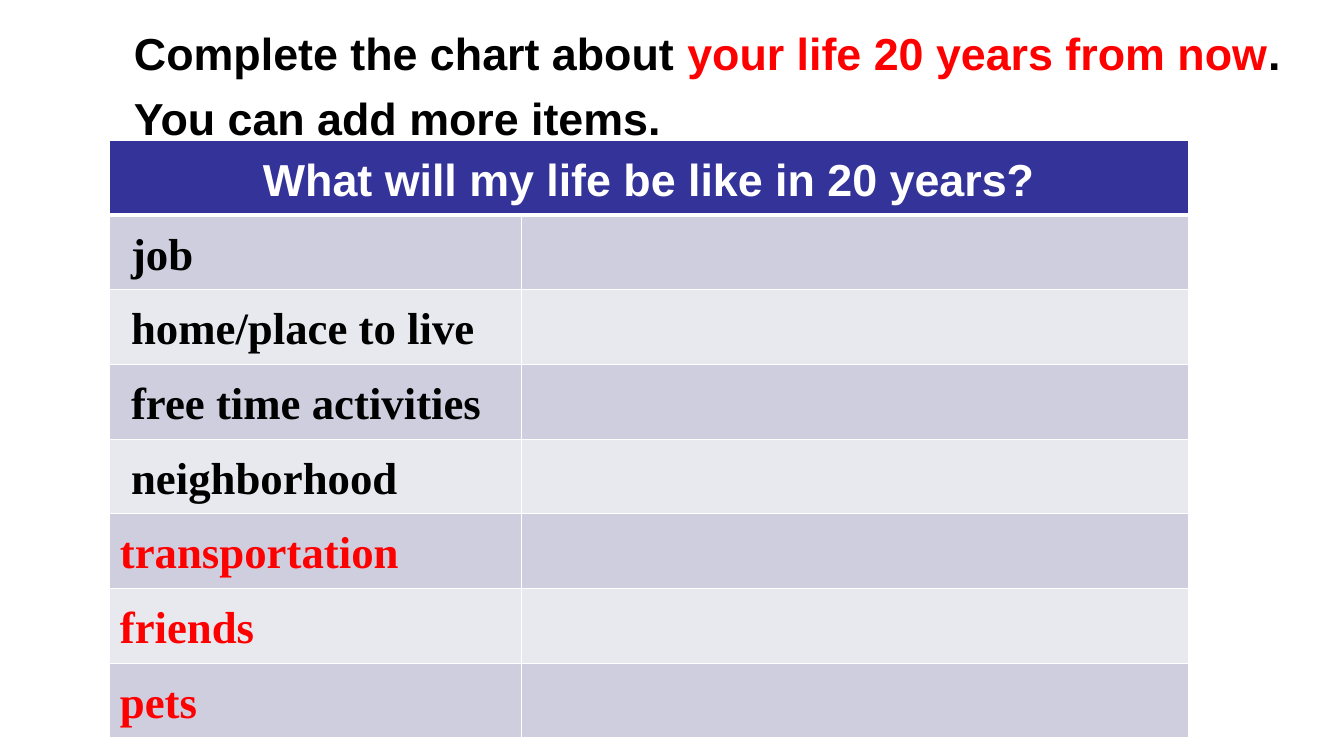
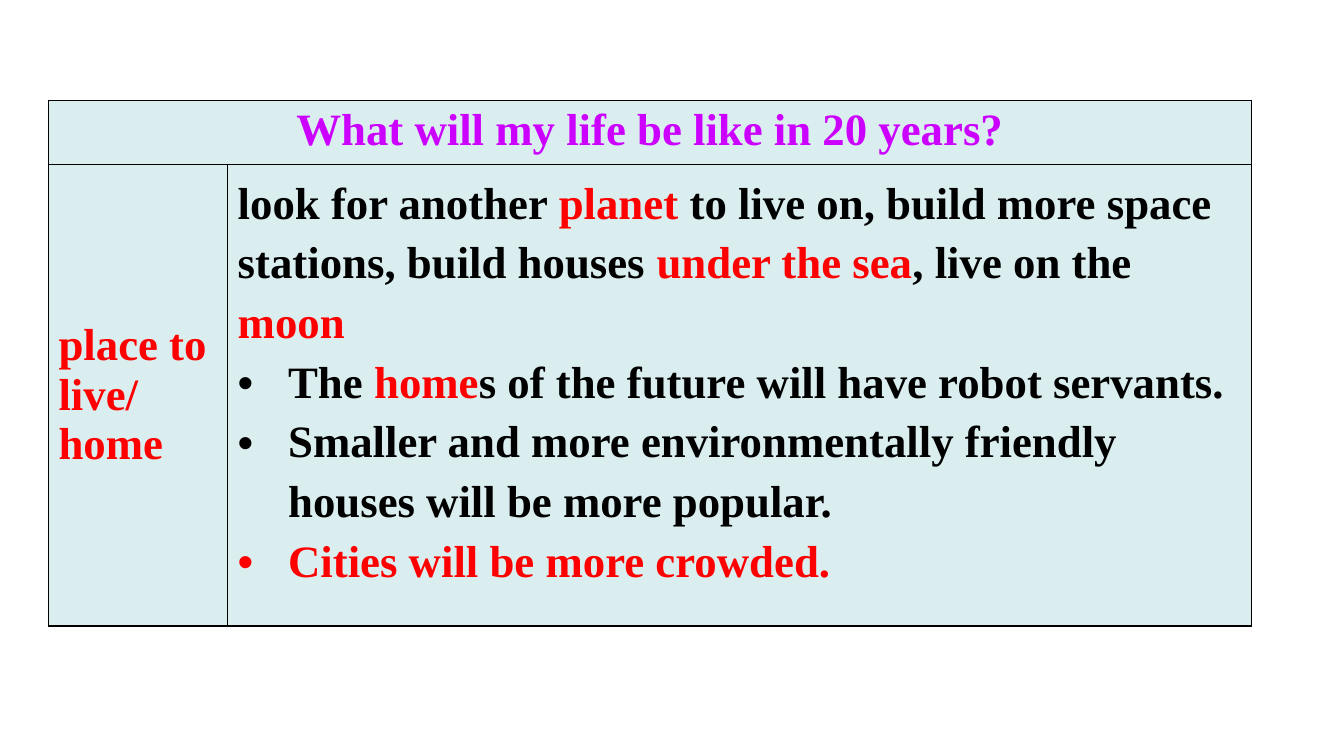
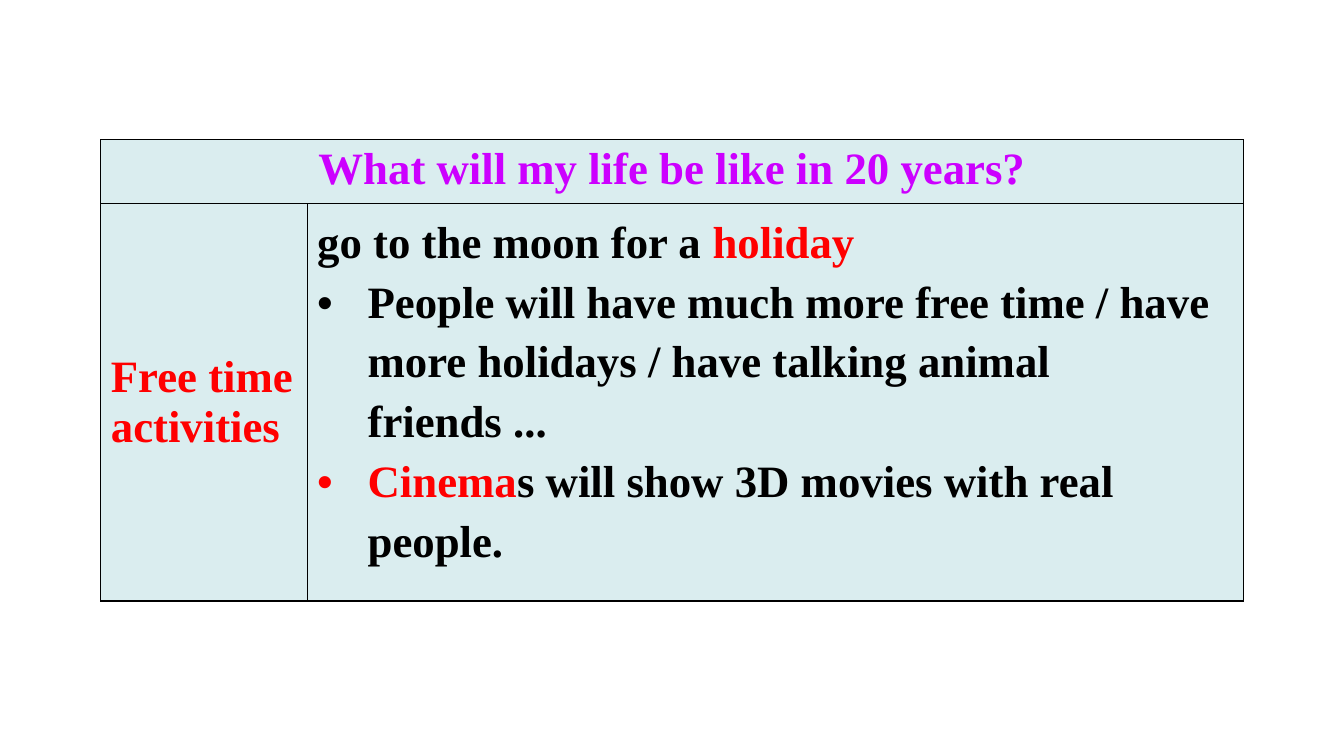
from dataclasses import dataclass

from lxml import etree
from pptx import Presentation
from pptx import util as u
from pptx.dml.color import RGBColor
from pptx.enum import text
from pptx.oxml import ns

Pt = u.Pt


@dataclass(frozen=True)
class Theme:
    black: str = "000000"
    white: str = "FFFFFF"
    red: str = "FF0000"
    purple: str = "CC00FF"
    header: str = "333399"
    bands: tuple = ("CECEDE", "E8E8EF")
    panel: str = "DAEDEF"
    sans: str = "Arial"
    serif: str = "Times New Roman"
    size: int = 32
    loose: float = 1.2
    bullet_indent: int = 36
    line: int = 1
    heavy_line: int = 3


@dataclass(frozen=True)
class Line:
    words: str
    color: str = Theme.black
    font: str = Theme.serif
    spacing: float = Theme.loose
    centered: bool = False
    bullet: bool = False
    indent: float = 0


def set_values(target, values):
    for name, value in values.items():
        setattr(target, name, value)


class Deck:
    def __init__(self, theme):
        self.theme = theme
        self.presentation = Presentation()
        set_values(self.presentation, {"slide_width": Pt(960), "slide_height": Pt(540)})
        self.slide = None

    def add_slide(self):
        self.slide = self.presentation.slides.add_slide(self.presentation.slide_layouts[6])

    def fill_frame(self, frame, lines):
        for index, line in enumerate(lines):
            paragraph = frame.paragraphs[0] if index == 0 else frame.add_paragraph()
            self.format_paragraph(paragraph, line)
            for position, part in enumerate(line.words.split("*")):
                if part:
                    run = paragraph.add_run()
                    run.text = part
                    set_values(run.font, {"name": line.font, "size": Pt(self.theme.size), "bold": True})
                    color = self.theme.red if position % 2 else line.color
                    run.font.color.rgb = RGBColor.from_string(color)

    def format_paragraph(self, paragraph, line):
        alignment = text.PP_ALIGN.CENTER if line.centered else text.PP_ALIGN.LEFT
        set_values(paragraph, {"alignment": alignment, "line_spacing": line.spacing})
        properties = paragraph._p.get_or_add_pPr()
        indent = self.theme.bullet_indent if line.bullet else line.indent
        if indent:
            properties.set("marL", str(Pt(indent)))
        if line.bullet:
            properties.set("indent", str(-Pt(indent)))
            etree.SubElement(properties, ns.qn("a:buFont")).set("typeface", self.theme.sans)
            etree.SubElement(properties, ns.qn("a:buChar")).set("char", "•")

    def add_text(self, left, top, width, height, lines):
        shape = self.slide.shapes.add_textbox(Pt(left), Pt(top), Pt(width), Pt(height))
        set_values(shape.text_frame, {"word_wrap": True, "vertical_anchor": text.MSO_ANCHOR.MIDDLE})
        self.fill_frame(shape.text_frame, lines)

    def add_table(self, left, top, widths, heights):
        table = self.slide.shapes.add_table(
            len(heights), len(widths), Pt(left), Pt(top), Pt(sum(widths)), Pt(sum(heights))
        ).table
        set_values(table, {"first_row": False, "horz_banding": False})
        for column, width in zip(table.columns, widths):
            column.width = Pt(width)
        for row, height in zip(table.rows, heights):
            row.height = Pt(height)
        table.cell(0, 0).merge(table.cell(0, len(widths) - 1))
        return table

    def style_cell(self, cell, fill, border, bottom=None, top=None):
        cell.fill.solid()
        cell.fill.fore_color.rgb = RGBColor.from_string(fill)
        properties = cell._tc.get_or_add_tcPr()
        weights = {"bottom": bottom, "top": top}
        sides = (("lnL", "left"), ("lnR", "right"), ("lnT", "top"), ("lnB", "bottom"))
        for index, (tag, side) in enumerate(sides):
            edge = etree.Element(ns.qn(f"a:{tag}"))
            edge.set("w", str(Pt(weights.get(side) or self.theme.line)))
            solid = etree.SubElement(edge, ns.qn("a:solidFill"))
            etree.SubElement(solid, ns.qn("a:srgbClr")).set("val", border)
            properties.insert(index, edge)

    def add_checklist(self, left, top, widths, heights, title, items):
        theme = self.theme
        table = self.add_table(left, top, widths, heights)
        for column in range(len(widths)):
            self.style_cell(table.cell(0, column), theme.header, theme.white, bottom=theme.heavy_line)
        self.fill_frame(table.cell(0, 0).text_frame, [title])
        for row, item in enumerate(items, 1):
            fill = theme.bands[(row - 1) % len(theme.bands)]
            above = theme.heavy_line if row == 1 else theme.line
            for column in range(len(widths)):
                self.style_cell(table.cell(row, column), fill, theme.white, top=above)
            self.fill_frame(table.cell(row, 0).text_frame, [item])

    def add_topic(self, left, top, widths, heights, title, topic, ideas):
        theme = self.theme
        table = self.add_table(left, top, widths, heights)
        for cell in table.iter_cells():
            self.style_cell(cell, theme.panel, theme.black)
        heading = Line(title, theme.purple, spacing=1.0, centered=True)
        self.fill_frame(table.cell(0, 0).text_frame, [heading])
        label = table.cell(1, 0)
        label.vertical_anchor = text.MSO_ANCHOR.MIDDLE
        self.fill_frame(label.text_frame, [Line(words, theme.red, spacing=1.0) for words in topic])
        self.fill_frame(table.cell(1, 1).text_frame, ideas)


def main():
    theme = Theme()
    deck = Deck(theme)
    question = "What will my life be like in 20 years?"

    deck.add_slide()
    deck.add_text(88.6, 0, 838.8, 113.8, [
        Line("Complete the chart about *your life 20 years from now*. You can add more items.", font=theme.sans),
    ])
    given = ["job", "home/place to live", "free time activities", "neighborhood"]
    added = ["transportation", "friends", "pets"]
    items = [Line(words, indent=8) for words in given] + [Line(words, theme.red) for words in added]
    deck.add_checklist(
        78.4, 100.4, [294.4, 476.4], [53.3] + [49.8] * len(items),
        Line(question, theme.white, theme.sans, centered=True), items,
    )

    deck.add_slide()
    deck.add_topic(34.6, 71.6, [128, 731.6], [42.6, 305.4], question, ["place to live/", "home"], [
        Line("look for another *planet* to live on, build more space stations, "
             "build houses *under the sea*, live on the *moon*"),
        Line("The *home*s of the future will have robot servants.", bullet=True),
        Line("Smaller and more environmentally friendly houses will be more popular.", bullet=True),
        Line("Cities will be more crowded.", theme.red, bullet=True),
    ])

    deck.add_slide()
    deck.add_topic(72, 99.8, [147.4, 669], [42.6, 263], question, ["Free time activities"], [
        Line("go to the moon for a *holiday*"),
        Line("People will have much more free time / have more holidays / "
             "have talking animal friends ...", bullet=True),
        Line("*Cinema*s will show 3D movies with real people.", bullet=True),
    ])

    deck.presentation.save("out.pptx")


if __name__ == "__main__":
    main()
